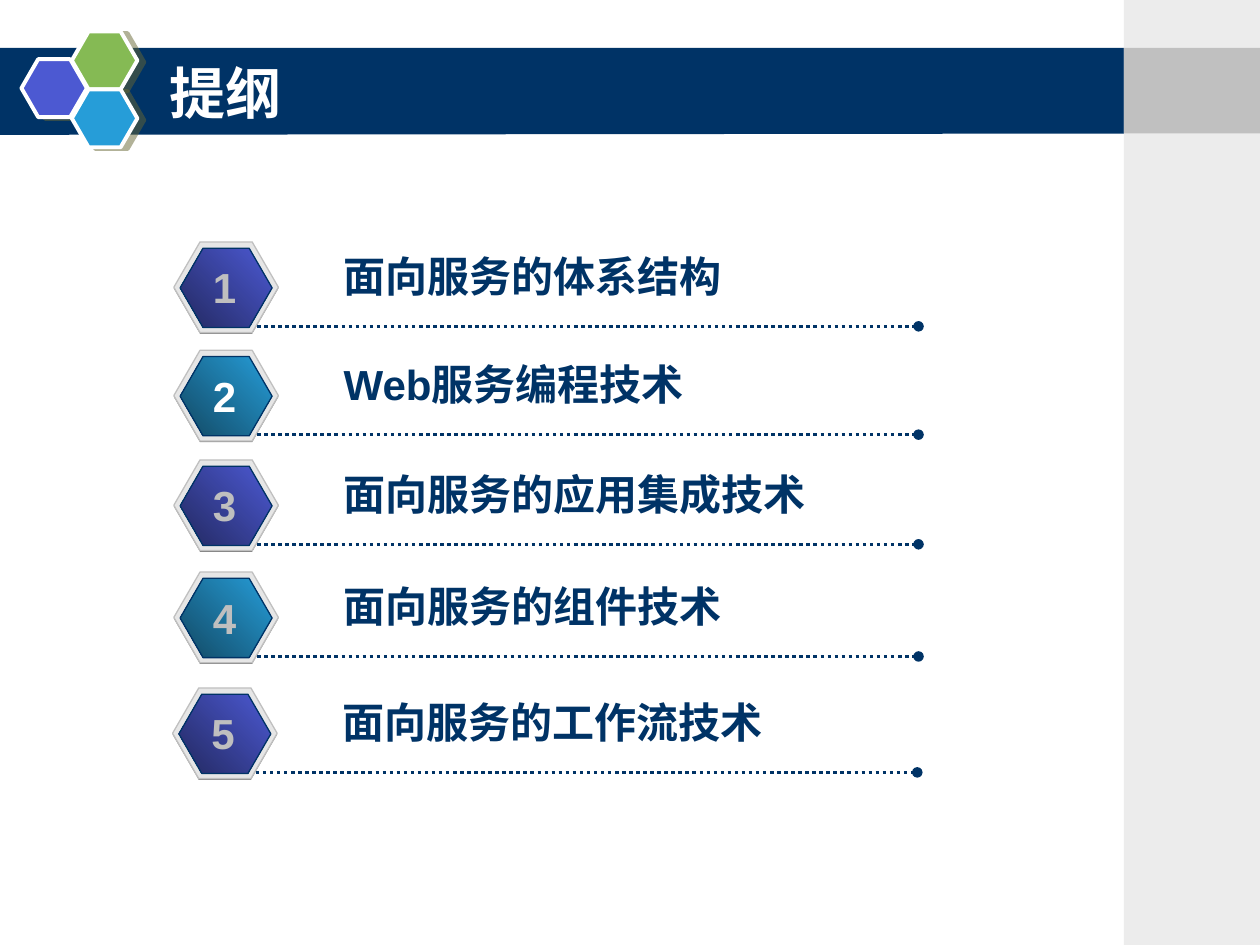
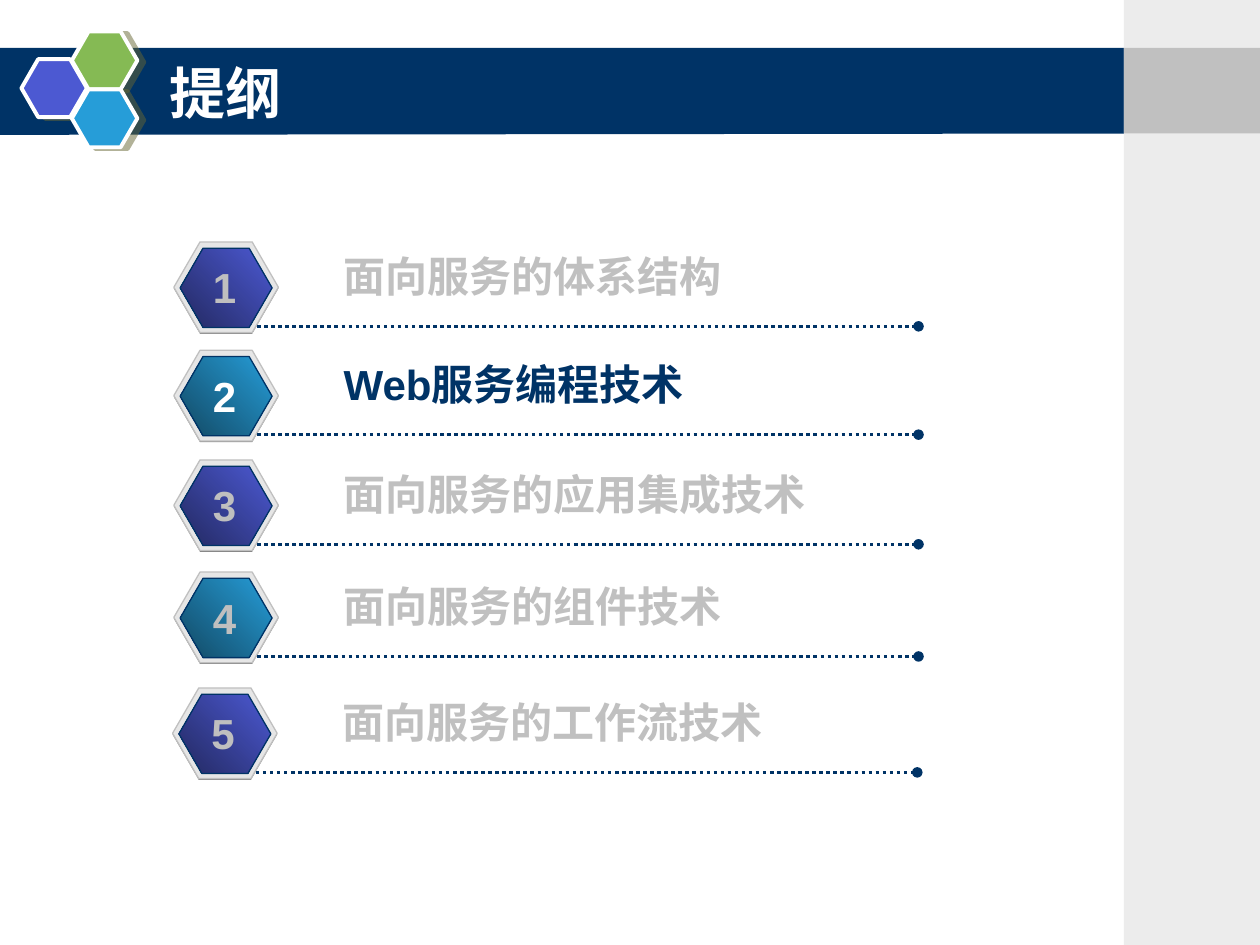
from lxml import etree
from pptx import Presentation, util as u
from pptx.dml.color import RGBColor
from pptx.enum import dml, shapes, text
from pptx.oxml.ns import qn

COLORS = {
    "navy": "003366", "white": "FFFFFF", "violet": "4C59D2", "dark violet": "232961",
    "blue": "269DD8", "dark blue": "124964", "green": "85BA54", "olive": "666633",
    "side panel": "ECECEC", "silver": "C0C0C0", "number gray": "BFBFBF",
    "rim": "E6E6E6", "rim shade": "808080",
}
CJK_FONT = "Noto Sans CJK SC"
CURRENT_TOPIC = 2
# topic, left and top of its badge, width of its label
TOPICS = [
    ("面向服务的体系结构", 1.38, 1.92, 4.72),
    ("Web服务编程技术", 1.38, 2.78, 4.64),
    ("面向服务的应用集成技术", 1.38, 3.65, 4.48),
    ("面向服务的组件技术", 1.38, 4.54, 4.4),
    ("面向服务的工作流技术", 1.37, 5.46, 3.92),
]
BADGE_GRADIENTS = [("violet", "dark violet"), ("blue", "dark blue")]


def rgb(name):
    return RGBColor.from_string(COLORS[name])


def set_line(line, color, width):
    line.color.rgb = rgb(color)
    line.width = u.Pt(width)


def style_shape(shape, fill, line=None, width=0.75):
    """Fill with one colour name, or with a gradient for a pair of names."""
    shape.shadow.inherit = False
    if isinstance(fill, tuple):
        shape.fill.gradient()
        shape.fill.gradient_angle = 225
        for stop, name in zip(shape.fill.gradient_stops, fill):
            stop.color.rgb = rgb(name)
    else:
        shape.fill.solid()
        shape.fill.fore_color.rgb = rgb(fill)
    if line:
        set_line(shape.line, line, width)
    else:
        shape.line.fill.background()


def add_preset(owner, kind, area, fill, line=None, width=0.75):
    shape = owner.shapes.add_shape(kind, *map(u.Inches, area))
    style_shape(shape, fill, line, width)
    return shape


def add_hexagon(owner, area, fill, line=None, width=0.75):
    hexagon = add_preset(owner, shapes.MSO_SHAPE.HEXAGON, area, fill, line, width)
    hexagon.adjustments[0] = 0.289
    return hexagon


def add_cast_shadow(shape):
    effects = shape._element.spPr.find(qn("a:effectLst"))
    shadow = etree.SubElement(effects, qn("a:outerShdw"), blurRad="0",
                              dist=str(u.Pt(4.1)), dir=str(14 * 60000),
                              algn="ctr", rotWithShape="0")
    color = etree.SubElement(shadow, qn("a:srgbClr"), val=COLORS["olive"])
    etree.SubElement(color, qn("a:alpha"), val="50000")


def add_text(owner, area, words, color, size=24, font="Arial", **frame_format):
    box = owner.shapes.add_textbox(*map(u.Inches, area))
    frame = box.text_frame
    for name, value in ({"word_wrap": True} | frame_format).items():
        setattr(frame, name, value)
    para = frame.paragraphs[0]
    span = para.add_run()
    span.text = words
    for name, value in {"name": font, "size": u.Pt(size), "bold": True}.items():
        setattr(span.font, name, value)
    span.font.color.rgb = rgb(color)
    etree.SubElement(span._r.get_or_add_rPr(), qn("a:ea"), typeface=CJK_FONT)
    return para


def add_dotted_line(owner, left, right, y):
    """Draw a dotted line that ends in a round dot."""
    rule = owner.shapes.add_connector(
        shapes.MSO_CONNECTOR.STRAIGHT, *map(u.Inches, (left, y, right, y)))
    set_line(rule.line, "navy", 2)
    rule.line.dash_style = dml.MSO_LINE.ROUND_DOT
    etree.SubElement(rule.line._get_or_add_ln(), qn("a:tailEnd"), type="oval")
    etree.SubElement(rule._element.spPr, qn("a:effectLst"))


def add_title_band(page):
    corners = [(u.Inches(x), u.Inches(y)) for x, y in
               [(-0.01, 0.38), (8.94, 0.38), (8.93, 1.06), (-0.01, 1.07)]]
    outline = page.shapes.build_freeform(*corners[0])
    outline.add_line_segments(corners[1:], close=True)
    style_shape(outline.convert_to_shape(), "navy")


def add_furniture(page, title):
    add_title_band(page)
    cluster = page.shapes.add_group_shape()
    for left, top, color in [(0.17, 0.47, "violet"), (0.57, 0.25, "green"),
                             (0.57, 0.71, "blue")]:
        add_cast_shadow(add_hexagon(cluster, (left, top, 0.52, 0.46), color, "white", 2.25))
    side = page.shapes.add_group_shape()
    for top, height, color in [(0, 7.5, "side panel"), (0.38, 0.68, "silver")]:
        add_preset(side, shapes.MSO_SHAPE.RECTANGLE, (8.92, top, 1.08, height), color)
    add_text(page, (1.25, 0.42, 7.42, 0.62), title, "white", 32, CJK_FONT,
             vertical_anchor=text.MSO_ANCHOR.MIDDLE)


def add_topic(page, number, topic, label_color):
    words, left, top, label_width = topic
    row = page.shapes.add_group_shape()
    add_hexagon(row, (left, top + 0.01, 0.83, 0.72), "rim shade")
    add_hexagon(row, (left, top, 0.83, 0.72), "rim", "silver")
    gradient = BADGE_GRADIENTS[(number - 1) % len(BADGE_GRADIENTS)]
    add_hexagon(row, (left + 0.05, top + 0.05, 0.73, 0.63), gradient, "navy")
    add_dotted_line(row, left + 0.66, left + 5.91, top + 0.67)
    fit = {"auto_size": text.MSO_AUTO_SIZE.SHAPE_TO_FIT_TEXT}
    add_text(row, (left + 1.25, top + 0.02, label_width, 0.5), words, label_color, **fit)
    number_color = "white" if number == CURRENT_TOPIC else "number gray"
    para = add_text(row, (left + 0.21, top + 0.11, 0.38, 0.5), str(number),
                    number_color, word_wrap=False, **fit)
    para.alignment = text.PP_ALIGN.CENTER


def add_outline_page(deck, dim_others):
    """List all topics; dim_others grays every label but the current one."""
    page = deck.slides.add_slide(deck.slide_layouts[6])
    add_furniture(page, "提纲")
    for number, topic in enumerate(TOPICS, 1):
        dimmed = dim_others and number != CURRENT_TOPIC
        add_topic(page, number, topic, "silver" if dimmed else "navy")


def main():
    deck = Presentation()
    deck.slide_width, deck.slide_height = u.Inches(10), u.Inches(7.5)
    for dim_others in (False, True):
        add_outline_page(deck, dim_others)
    deck.save("out.pptx")


if __name__ == "__main__":
    main()
